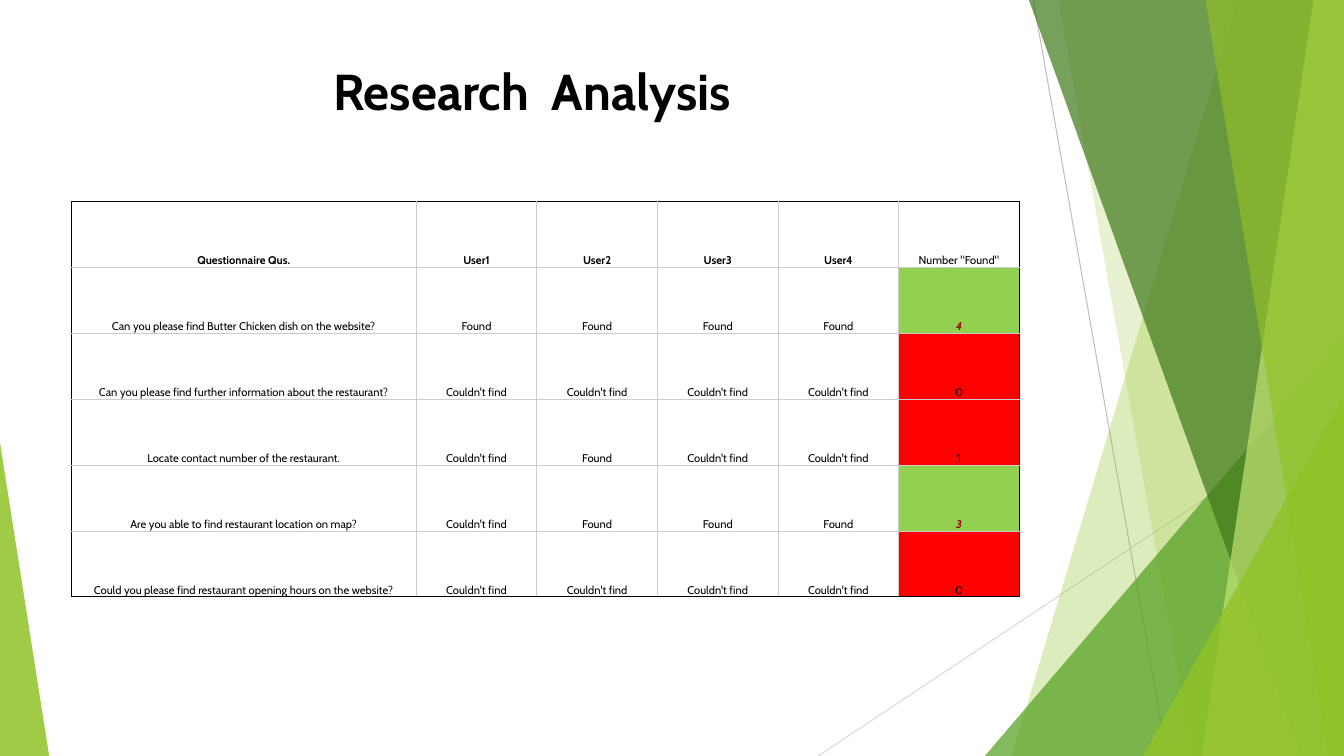
from lxml import etree
from pptx import Presentation, util as u
from pptx.dml.color import RGBColor
from pptx.enum import shapes, text
from pptx.oxml import ns

WIDTH, HEIGHT = 33.87, 19.05
COLORS = {
    "black": "000000", "white": "FFFFFF", "grid": "CCCCCC",
    "steep": "BFBFBF", "shallow": "D9D9D9", "lime": "90C226",
    "green": "54A021", "forest": "3F7819", "pale": "C0E474",
    "pass": "92D050", "fail": "FF0000", "score": "9C0006",
}


class SlideBuilder:
    def __init__(self, slide, font):
        self.slide = slide
        self.font = font
        self.slide.background.fill.solid()
        self.slide.background.fill.fore_color.rgb = self.rgb("white")

    def rgb(self, color):
        return RGBColor.from_string(COLORS[color])

    def paint(self, shape, color, opacity):
        shape.shadow.inherit = False
        shape.line.fill.background()
        shape.fill.solid()
        shape.fill.fore_color.rgb = self.rgb(color)
        tint = shape._element.spPr.find(".//" + ns.qn("a:srgbClr"))
        etree.SubElement(tint, ns.qn("a:alpha"), val=str(opacity * 1000))

    def line(self, start, end, color):
        rule = self.slide.shapes.add_connector(
            shapes.MSO_CONNECTOR.STRAIGHT, *map(u.Cm, start + end))
        rule.line.color.rgb = self.rgb(color)
        rule.line.width = u.Pt(0.75)
        etree.SubElement(rule._element.spPr, ns.qn("a:effectLst"))

    def shard(self, top, bottom, color, opacity):
        outline = self.slide.shapes.build_freeform(u.Cm(top), 0)
        corners = [(WIDTH, 0), (WIDTH, HEIGHT), (bottom, HEIGHT)]
        outline.add_line_segments([(u.Cm(x), u.Cm(y)) for x, y in corners])
        self.paint(outline.convert_to_shape(), color, opacity)

    def triangle(self, left, top, width, apex, color, opacity):
        corner = self.slide.shapes.add_shape(
            shapes.MSO_SHAPE.ISOSCELES_TRIANGLE,
            u.Cm(left), u.Cm(top), u.Cm(width), u.Cm(HEIGHT - top))
        corner.adjustments[0] = apex
        self.paint(corner, color, opacity)

    def add_words(self, frame, words, size, color="black", bold=False, italic=False):
        paragraph = frame.paragraphs[0]
        paragraph.alignment = text.PP_ALIGN.CENTER
        run = paragraph.add_run()
        run.text = words
        run.font.name = self.font
        run.font.size = u.Pt(size)
        run.font.bold = bold
        run.font.italic = italic
        run.font.color.rgb = self.rgb(color)

    def title(self, words, left, top, width, height):
        heading = self.slide.shapes.add_textbox(*map(u.Cm, (left, top, width, height)))
        heading.text_frame.word_wrap = True
        self.add_words(heading.text_frame, words, 36, bold=True)

    def borders(self, cell, sides):
        properties = cell._tc.get_or_add_tcPr()
        for position, (side, color) in enumerate(sides.items()):
            edge = etree.Element(ns.qn("a:ln" + side), w=str(u.Pt(0.75)))
            fill = etree.SubElement(edge, ns.qn("a:solidFill"))
            etree.SubElement(fill, ns.qn("a:srgbClr"), val=COLORS[color])
            properties.insert(position, edge)

    def cell(self, cell, words, fill=None, **style):
        cell.margin_left = cell.margin_right = u.Cm(0.02)
        cell.margin_top = cell.margin_bottom = 0
        cell.vertical_anchor = text.MSO_ANCHOR.BOTTOM
        if fill:
            cell.fill.solid()
            cell.fill.fore_color.rgb = self.rgb(fill)
        else:
            cell.fill.background()
        self.add_words(cell.text_frame, words, 8, **style)

    def results(self, rows, left, top, widths, row_height):
        frame = self.slide.shapes.add_table(
            len(rows), len(widths), u.Cm(left), u.Cm(top),
            u.Cm(sum(widths)), u.Cm(row_height * len(rows)))
        table = frame.table
        table.first_row = table.horz_banding = False
        for column, width in zip(table.columns, widths):
            column.width = u.Cm(width)
        last_row, last_column = len(rows) - 1, len(widths) - 1
        for r, answers in enumerate(rows):
            table.rows[r].height = u.Cm(row_height)
            for c, words in enumerate(answers):
                style = {"bold": r == 0 and c < last_column}
                if r and c == last_column:
                    style = {"fill": "fail"}
                    if int(words) >= 3:
                        style = {"fill": "pass", "color": "score",
                                 "bold": True, "italic": True}
                self.cell(table.cell(r, c), words, **style)
                outer = {"L": c == 0, "R": c == last_column,
                         "T": r == 0, "B": r == last_row}
                self.borders(table.cell(r, c), {
                    side: "black" if edge else "grid" for side, edge in outer.items()})


def main():
    deck = Presentation()
    deck.slide_width, deck.slide_height = u.Cm(WIDTH), u.Cm(HEIGHT)
    page = SlideBuilder(deck.slides.add_slide(deck.slide_layouts[6]), "Cabin")

    page.line((26.04, 0), (29.41, HEIGHT), "steep")
    page.line((WIDTH, 10.24), (20.62, HEIGHT), "shallow")
    page.shard(31.19, 25.5, "lime", 30)
    page.shard(26.67, 30.05, "lime", 20)
    page.triangle(24.82, 8.46, 9.05, 1, "green", 72)
    page.shard(25.93, 32.79, "forest", 70)
    page.shard(33.1, 30.28, "pale", 70)
    page.shard(30.38, 33.48, "lime", 65)
    page.triangle(28.8, 9.98, 5.07, 1, "lime", 80)
    page.triangle(0, 11.15, 1.24, 0, "lime", 85)

    hit, miss = "Found", "Couldn't find"
    findings = [
        ("Can you please find Butter Chicken dish on the website?", [hit] * 4),
        ("Can you please find further information about the restaurant?", [miss] * 4),
        ("Locate contact number of the restaurant.", [miss, hit, miss, miss]),
        ("Are you able to find restaurant location on map?", [miss, hit, hit, hit]),
        ("Could you please find restaurant opening hours on the website?", [miss] * 4),
    ]
    users = [f"User{number}" for number in range(1, 5)]
    rows = [["Questionnaire Qus.", *users, 'Number "Found"']]
    rows += [[question, *answers, str(answers.count(hit))]
             for question, answers in findings]
    page.results(rows, 1.8, 5.08, [8.69] + [3.04] * 5, 1.66)
    page.title("Research  Analysis", 3.3, 1.4, 20.22, 1.8)
    deck.save("out.pptx")


if __name__ == "__main__":
    main()
